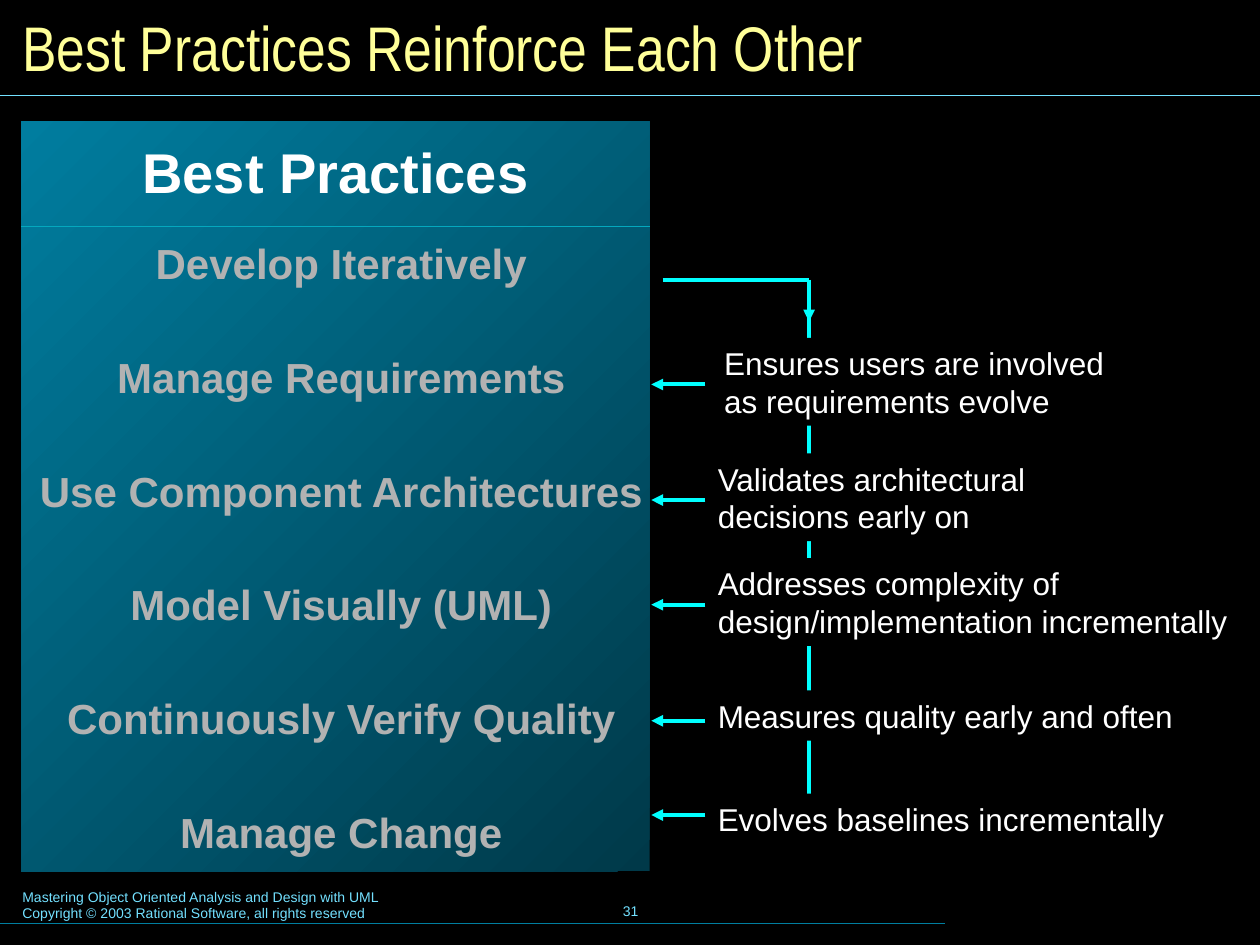
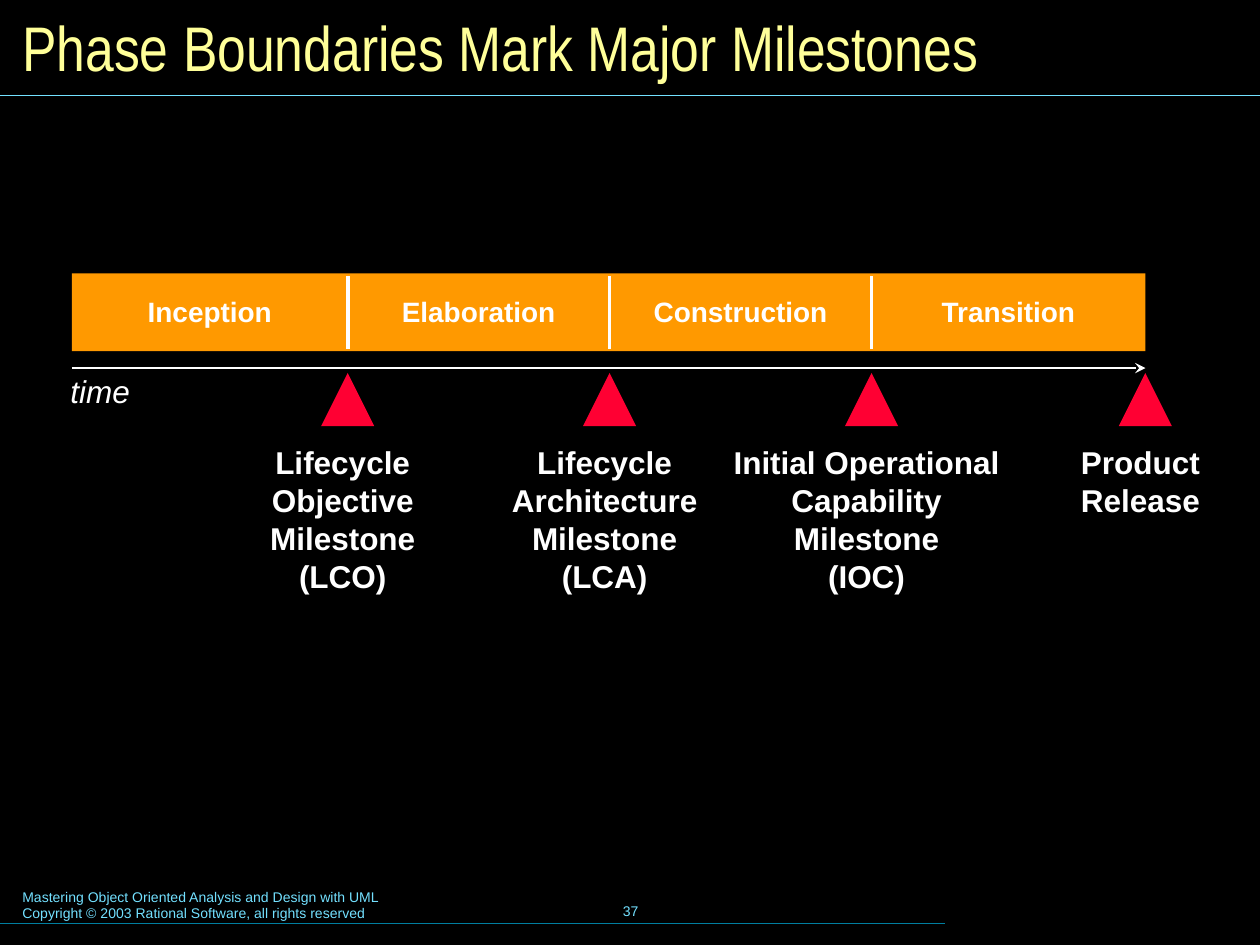
from lxml import etree
from pptx import Presentation
from pptx.dml.color import RGBColor
from pptx.enum.shapes import MSO_CONNECTOR, MSO_SHAPE
from pptx.enum.text import MSO_ANCHOR, PP_ALIGN
from pptx.oxml.ns import qn
from pptx.util import Cm, Pt

STRAIGHT = MSO_CONNECTOR.STRAIGHT
RECTANGLE, TRIANGLE = MSO_SHAPE.RECTANGLE, MSO_SHAPE.ISOSCELES_TRIANGLE
TOP, MIDDLE = MSO_ANCHOR.TOP, MSO_ANCHOR.MIDDLE
LEFT, CENTER = PP_ALIGN.LEFT, PP_ALIGN.CENTER

BLACK = RGBColor(0x00, 0x00, 0x00)
WHITE = RGBColor(0xFF, 0xFF, 0xFF)
SILVER = RGBColor(0xB2, 0xB2, 0xB2)
PALE_YELLOW = RGBColor(0xFF, 0xFF, 0x99)
SKY = RGBColor(0x73, 0xE1, 0xFF)
CYAN = RGBColor(0x00, 0xFF, 0xFF)
TEAL = RGBColor(0x00, 0x7E, 0x9F)
TURQUOISE = RGBColor(0x04, 0xA8, 0xBE)
PANEL_LIGHT = RGBColor(0x00, 0x7D, 0x9F)
PANEL_DARK = RGBColor(0x00, 0x39, 0x49)
ORANGE = RGBColor(0xFF, 0x99, 0x00)
RED = RGBColor(0xFF, 0x00, 0x33)

SLIDE_WIDTH, SLIDE_HEIGHT = 25.4, 19.05
FOOTER = ["Mastering Object Oriented Analysis and Design with UML",
          "Copyright © 2003 Rational Software, all rights reserved"]

PRACTICES = ["Develop Iteratively", "Manage Requirements",
             "Use Component Architectures", "Model Visually (UML)",
             "Continuously Verify Quality", "Manage Change"]
# Lines of the benefit, left, top and width of its label, height of its arrow
BENEFITS = [
    (["Ensures users are involved", "as requirements evolve"], 1.22, 1.17, 8.33, 2.11),
    (["Validates architectural", "decisions early on"], 1.09, 3.5, 6.93, 4.44),
    (["Addresses complexity of", "design/implementation incrementally"],
     1.09, 5.61, 10.77, 6.55),
    (["Measures quality early and often"], 1.09, 8.28, 9.68, 8.89),
    (["Evolves baselines incrementally"], 1.09, 10.36, 9.5, 10.79),
]
PHASES = ["Inception", "Elaboration", "Construction", "Transition"]
MILESTONES = [
    ["Lifecycle", "Objective", "Milestone", "(LCO)"],
    ["Lifecycle", "Architecture", "Milestone", "(LCA)"],
    ["Initial Operational", "Capability", "Milestone", "(IOC)"],
    ["Product", "Release"],
]


def write(shape, lines, size, color, name="Arial", bold=False, italic=False,
          align=LEFT, anchor=TOP, wrap=False, spacing=None, gap=0):
    """Fill a shape with one paragraph per line."""
    frame = shape.text_frame
    frame.word_wrap = wrap
    frame.vertical_anchor = anchor
    frame.text = "\n".join(lines)
    for index, paragraph in enumerate(frame.paragraphs):
        paragraph.alignment = align
        if spacing:
            paragraph.line_spacing = spacing
        if gap and index:
            paragraph.space_before = Pt(gap)
        font = paragraph.font
        font.name, font.size = name, Pt(size)
        font.bold, font.italic = bold, italic
        font.color.rgb = color


def add_text(slide, box, lines, size, color, **style):
    write(text_box := slide.shapes.add_textbox(*map(Cm, box)),
          lines, size, color, **style)
    return text_box


def add_block(slide, kind, box, color):
    shape = slide.shapes.add_shape(kind, *map(Cm, box))
    shape.shadow.inherit = False
    shape.fill.solid()
    shape.fill.fore_color.rgb = color
    shape.line.fill.background()
    return shape


def add_line(slide, start, end, color, width, arrowhead=None):
    line = slide.shapes.add_connector(STRAIGHT, *map(Cm, (*start, *end)))
    line.line.color.rgb = color
    line.line.width = Pt(width)
    properties = line._element.spPr
    if arrowhead:
        etree.SubElement(properties.find(qn("a:ln")), qn("a:tailEnd"), type=arrowhead)
    etree.SubElement(properties, qn("a:effectLst"))


def add_text_shadow(shape):
    for paragraph in shape.text_frame.paragraphs:
        for run in paragraph.runs:
            effects = etree.SubElement(run._r.get_or_add_rPr(), qn("a:effectLst"))
            shadow = etree.SubElement(effects, qn("a:outerShdw"),
                                      dist="38100", dir="2700000")
            etree.SubElement(shadow, qn("a:srgbClr"), val=str(BLACK))


def add_base_slide(presentation, title, number):
    """Background, title, rules and footer shared by all slides."""
    slide = presentation.slides.add_slide(presentation.slide_layouts[6])
    slide.background.fill.solid()
    slide.background.fill.fore_color.rgb = BLACK
    add_text(slide, (8.69, 17.73, 8.05, 1.27), [str(number)], 8, SKY,
             align=CENTER, anchor=MIDDLE)
    add_line(slide, (0, 18.62), (19.05, 18.62), TEAL, 0.75)
    add_line(slide, (0, 1.93), (SLIDE_WIDTH, 1.93), SKY, 0.75)
    add_text(slide, (0.2, 17.78, 12.95, 0.94), FOOTER, 8, SKY, wrap=True)
    add_text(slide, (0.2, 0.2, 25, 1.47), [title], 36, PALE_YELLOW,
             name="Arial Narrow", anchor=MIDDLE, wrap=True)
    return slide


def add_practices_panel(slide, left, top, width, height):
    panel = add_block(slide, RECTANGLE, (left, top, width, height), PANEL_DARK)
    panel.fill.gradient()
    panel.fill.gradient_angle = 135
    for stop, color in zip(panel.fill.gradient_stops, (PANEL_DARK, PANEL_LIGHT)):
        stop.color.rgb = color

    heading = add_text(slide, (left, top + 0.41, width, 1.4), ["Best Practices"], 32,
                       WHITE, bold=True, align=CENTER, anchor=MIDDLE, spacing=0.8)
    practices = add_text(slide, (left, top + 2.44, width + 0.23, 12.42), PRACTICES, 24,
                         SILVER, bold=True, align=CENTER, anchor=MIDDLE, wrap=True,
                         spacing=0.85, gap=40.5)
    add_text_shadow(heading)
    add_text_shadow(practices)
    add_line(slide, (left, top + 2.11), (left + width, top + 2.11), TURQUOISE, 0.75)


def add_benefits(slide, left, top, height):
    # Flow line running down behind the labels
    trunk = left + 3.18
    add_line(slide, (left + 0.23, top), (trunk, top), CYAN, 2.25)
    add_line(slide, (trunk, top), (trunk, top + height), CYAN, 2.25)
    add_line(slide, (trunk, top), (trunk, top + 0.84), CYAN, 2.25, "triangle")

    # Labels, each with an arrow back to its practice
    for lines, label_left, label_top, label_width, arrow in BENEFITS:
        box = (left + label_left, top + label_top, label_width,
               0.25 + 0.76 * len(lines))
        write(add_block(slide, RECTANGLE, box, BLACK), lines, 18, WHITE)
        add_line(slide, (left + 1.09, top + arrow), (left, top + arrow),
                 CYAN, 2.25, "triangle")


def add_phase_timeline(slide, left, top, width, height):
    # Phase bar with its dividers
    add_block(slide, RECTANGLE, (left, top, width, height), ORANGE)
    boundaries = [left + 5.56 + 5.28 * index for index in range(3)]
    for x in boundaries:
        add_line(slide, (x, top + height - 0.05), (x, top + 0.05), WHITE, 2)
    ends = boundaries + [left + width]
    for phase, start, end in zip(PHASES, [left] + boundaries, ends):
        add_text(slide, (start, top + 0.31, end - start, 0.94), [phase], 16, WHITE,
                 bold=True, align=CENTER)

    # Milestone markers and names at the end of each phase
    side, label_width = 1.07, 6
    for x, milestone in zip(ends, MILESTONES):
        add_block(slide, TRIANGLE, (x - side / 2, top + 2.01, side, side), RED)
        add_text(slide, (x - 0.1 - label_width / 2, top + 3.3, label_width,
                         0.25 + 0.76 * len(milestone)),
                 milestone, 18, WHITE, bold=True, align=CENTER)

    # Time axis
    add_line(slide, (left, top + 1.91), (left + width, top + 1.91), WHITE, 1, "stealth")
    add_text(slide, (left - 0.28, top + 1.86, 1.7, 1.02), ["time"], 18, WHITE,
             italic=True)


def main():
    presentation = Presentation()
    presentation.slide_width = Cm(SLIDE_WIDTH)
    presentation.slide_height = Cm(SLIDE_HEIGHT)

    slide = add_base_slide(presentation, "Best Practices Reinforce Each Other", 31)
    add_practices_panel(slide, 0.43, 2.46, 12.67, 15.11)
    add_benefits(slide, 13.13, 5.64, 10.57)

    slide = add_base_slide(presentation, "Phase Boundaries Mark Major Milestones", 37)
    add_phase_timeline(slide, 1.45, 5.51, 21.64, 1.57)

    presentation.save("out.pptx")


if __name__ == "__main__":
    main()
